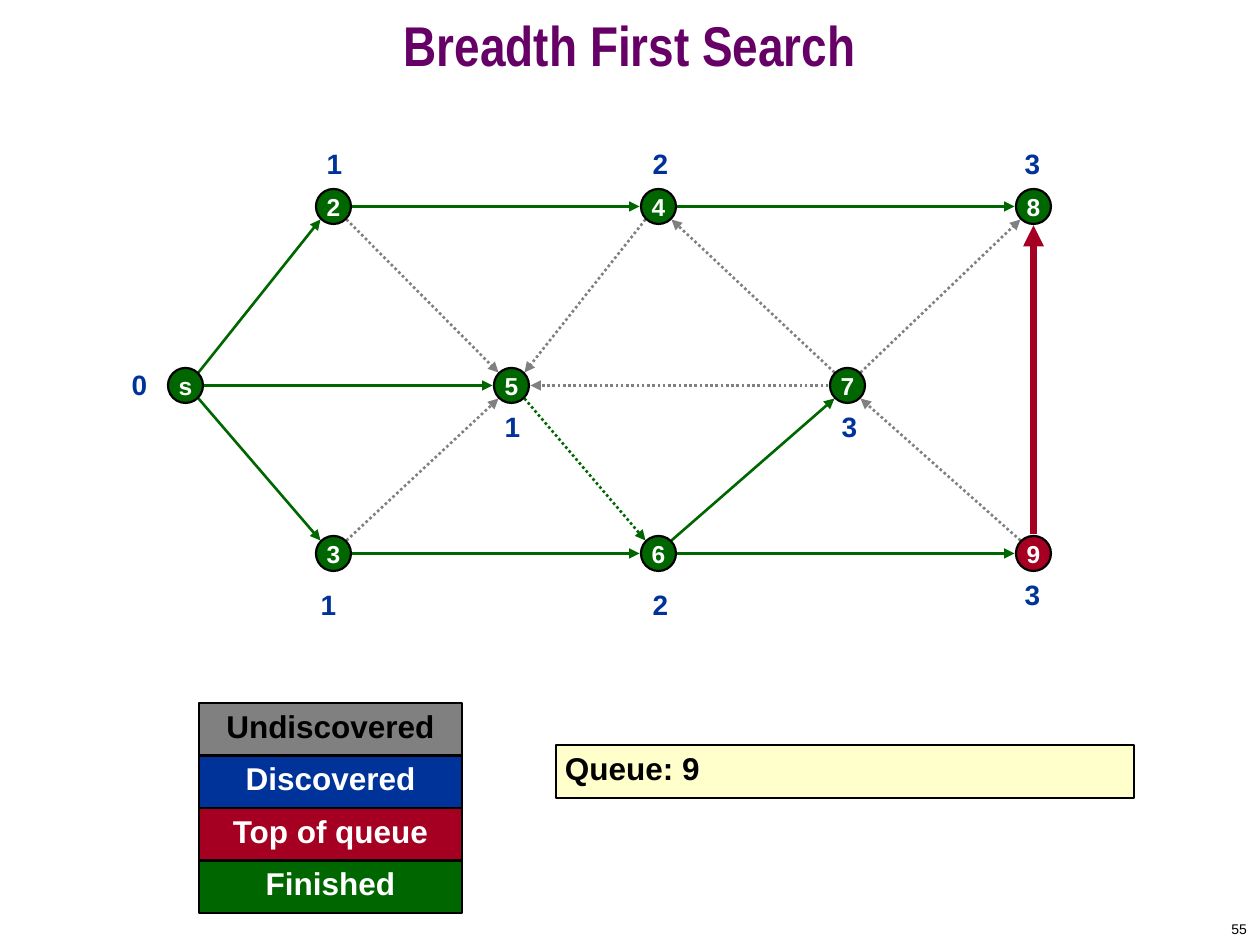
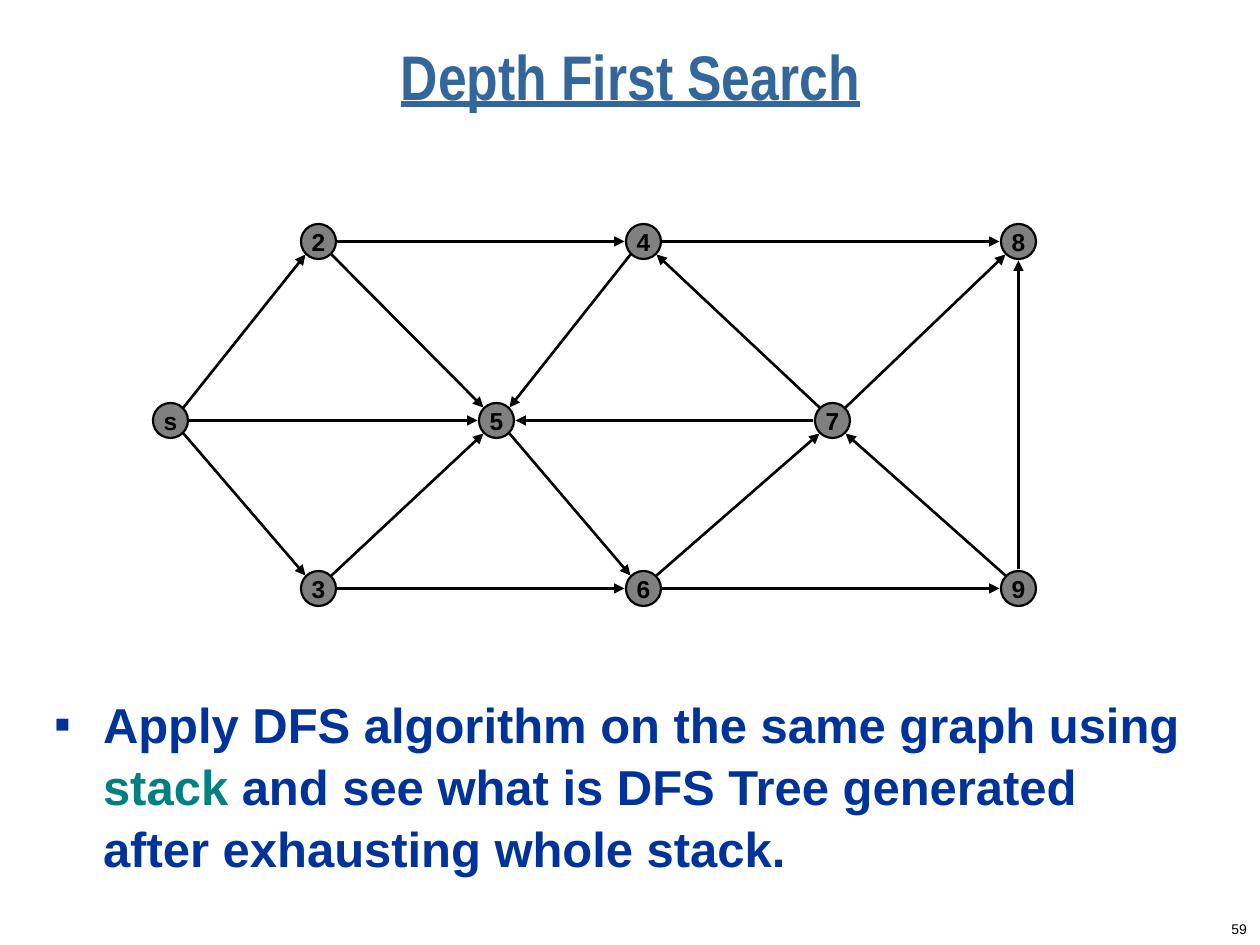
from lxml import etree
from pptx import Presentation
from pptx import util as u
from pptx.dml.color import RGBColor
from pptx.enum import dml, shapes, text
from pptx.oxml.ns import qn

SCALE = 914400 / 126
SLIDE_WIDTH, SLIDE_HEIGHT = 1260, 945
COLORS = {
    "black": "000000", "white": "FFFFFF", "gray": "808080", "blue": "003399",
    "red": "A50021", "green": "006600", "cream": "FFFFCC", "purple": "660066",
    "steel": "336699", "teal": "008080",
}
STATES = {
    "Undiscovered": ("gray", "black"),
    "Discovered": ("blue", "white"),
    "Top of queue": ("red", "white"),
    "Finished": ("green", "white"),
}
NODE_SIZE = 35
STRAIGHT_REACH, DIAGONAL_REACH = 19, 13
NODES = {
    "s": (0, 179), "2": (148, 0), "3": (148, 347), "5": (326, 179),
    "4": (473, 0), "6": (473, 347), "7": (662, 179), "8": (848, 0), "9": (848, 347),
}
EDGES = "s2 s5 s3 24 25 35 36 48 45 56 67 69 74 75 78 97 98".split()
TREE_EDGES = "s2 s5 s3 24 36 48 56 67 69".split()
DISTANCES = {
    "s": ("0", -52, 0), "2": ("1", -5, -42), "3": ("1", -11, 52),
    "5": ("1", -5, 42), "4": ("2", -4, -42), "6": ("2", -4, 52),
    "7": ("3", -4, 42), "8": ("3", -7, -42), "9": ("3", -7, 42),
}
ALIGN = text.PP_ALIGN
ANCHOR = text.MSO_ANCHOR


def px(length):
    """Turn a length in px into EMU."""
    return u.Emu(round(length * SCALE))


def apply(target, values):
    """Set each named attribute on the target."""
    for name, value in values.items():
        setattr(target, name, value)


def place(shape, box):
    """Move a shape to a box of left, top, width, height."""
    apply(shape, dict(zip(("left", "top", "width", "height"), map(px, box))))


def add_run(paragraph, words, size, color, bold=True, font="Arial", underline=None):
    """Add a formatted run to a paragraph."""
    run = paragraph.add_run()
    run.text = words
    apply(run.font, {"size": u.Pt(size), "name": font, "bold": bold, "underline": underline})
    run.font.color.rgb = RGBColor.from_string(COLORS[color])


def set_frame(shape, margins, anchor=ANCHOR.TOP, wrap=True, align=ALIGN.CENTER):
    """Format the text frame of a shape and return its first paragraph."""
    frame = shape.text_frame
    apply(frame, {"auto_size": text.MSO_AUTO_SIZE.NONE, "word_wrap": wrap,
                  "vertical_anchor": anchor})
    sides = ("margin_left", "margin_top", "margin_right", "margin_bottom")
    apply(frame, dict(zip(sides, map(px, margins))))
    paragraph = frame.paragraphs[0]
    paragraph.alignment = align
    return paragraph


def add_block(slide, kind, box, fill):
    """Add a filled shape with a thin black outline."""
    shape = slide.shapes.add_shape(kind, *map(px, box))
    shape.shadow.inherit = False
    shape.fill.solid()
    shape.fill.fore_color.rgb = RGBColor.from_string(COLORS[fill])
    shape.line.color.rgb = RGBColor.from_string(COLORS["black"])
    shape.line.width = u.Pt(1.25)
    return shape


def add_title(slide, box, words, size, color, underline=None):
    """Place and fill the title placeholder."""
    title = slide.shapes.title
    place(title, box)
    paragraph = set_frame(title, (13, 6, 13, 6), ANCHOR.MIDDLE)
    paragraph.line_spacing = 0.7
    add_run(paragraph, words, size, color, font="Arial Narrow", underline=underline)


def add_page_number(slide, number):
    """Write the page number in the bottom right corner."""
    width, height = 262, 32
    box = (SLIDE_WIDTH - width, SLIDE_HEIGHT - height, width, height)
    shape = slide.shapes.add_textbox(*map(px, box))
    paragraph = set_frame(shape, (13, 6, 13, 6), ANCHOR.MIDDLE, align=ALIGN.RIGHT)
    add_run(paragraph, number, 8, "black", bold=False)


def add_edge(slide, origin, edge, color, width=1.5, dash=None):
    """Draw an arrow between the rims of two nodes."""
    start, end = (NODES[name] for name in edge)
    signs = [(b > a) - (b < a) for a, b in zip(start, end)]
    reach = DIAGONAL_REACH if all(signs) else STRAIGHT_REACH
    center = [corner + NODE_SIZE / 2 for corner in origin]
    begin = [c + p + s * reach for c, p, s in zip(center, start, signs)]
    finish = [c + p - s * reach for c, p, s in zip(center, end, signs)]
    connector = slide.shapes.add_connector(
        shapes.MSO_CONNECTOR.STRAIGHT, *map(px, begin + finish))
    connector.line.color.rgb = RGBColor.from_string(COLORS[color])
    apply(connector.line, {"width": u.Pt(width), "dash_style": dash})
    properties = connector.element.spPr
    etree.SubElement(properties.find(qn("a:ln")), qn("a:tailEnd"), type="triangle")
    etree.SubElement(properties, qn("a:effectLst"))


def add_nodes(slide, origin, states):
    """Draw the graph's nodes, each coloured by its state."""
    for name, (x, y) in NODES.items():
        fill, color = STATES[states[name]]
        box = (origin[0] + x, origin[1] + y, NODE_SIZE, NODE_SIZE)
        shape = add_block(slide, shapes.MSO_SHAPE.OVAL, box, fill)
        paragraph = set_frame(shape, (0, 0, 0, 0), ANCHOR.MIDDLE, wrap=False)
        add_run(paragraph, name, 14, color)


def add_distances(slide, origin):
    """Write each node's distance from s beside it."""
    for name, (distance, dx, dy) in DISTANCES.items():
        x, y = NODES[name]
        box = (origin[0] + x + dx, origin[1] + y + dy, 47, 34)
        shape = slide.shapes.add_textbox(*map(px, box))
        add_run(set_frame(shape, (0, 0, 0, 0)), distance, 16, "blue")


def add_legend(slide, box):
    """Stack one coloured row for each node state."""
    left, top, width, height = box
    row_height = height / len(STATES)
    for index, (state, (fill, color)) in enumerate(STATES.items()):
        row = (left, top + index * row_height, width, row_height)
        shape = add_block(slide, shapes.MSO_SHAPE.RECTANGLE, row, fill)
        add_run(set_frame(shape, (0, 4, 0, 0)), state, 18, color)


def add_queue(slide, box, words):
    """Show the content of the queue."""
    shape = add_block(slide, shapes.MSO_SHAPE.RECTANGLE, box, "cream")
    paragraph = set_frame(shape, (9, 4, 0, 0), align=ALIGN.LEFT)
    add_run(paragraph, words, 18, "black")


def add_task(slide, box, runs):
    """Fill the body placeholder with one square-bulleted paragraph."""
    body = slide.placeholders[1]
    place(body, box)
    paragraph = set_frame(body, (13, 6, 13, 6), align=ALIGN.LEFT)
    apply(paragraph, {"line_spacing": 1.05, "space_before": u.Pt(0)})
    for words, color in runs:
        add_run(paragraph, words, 28, color)
    properties = paragraph._p.get_or_add_pPr()
    properties.set("marL", str(px(48)))
    properties.set("indent", str(px(-48)))
    bullet_color = etree.SubElement(properties, qn("a:buClr"))
    etree.SubElement(bullet_color, qn("a:srgbClr"), val=COLORS["blue"])
    etree.SubElement(properties, qn("a:buSzPct"), val="50000")
    etree.SubElement(properties, qn("a:buFont"), typeface="Arial")
    etree.SubElement(properties, qn("a:buChar"), char="■")


def build_breadth_first(presentation):
    """Build the slide with the breadth first search in progress."""
    slide = presentation.slides.add_slide(presentation.slide_layouts[5])
    origin = (168, 189)
    add_title(slide, (0, 0, SLIDE_WIDTH, 105), "Breadth First Search", 32, "purple")
    for edge in EDGES:
        if edge == "98":
            add_edge(slide, origin, edge, "red", width=4)
        else:
            color = "green" if edge in TREE_EDGES else "gray"
            dotted = color == "gray" or edge == "56"
            dash = dml.MSO_LINE.ROUND_DOT if dotted else None
            add_edge(slide, origin, edge, color, dash=dash)
    add_nodes(slide, origin, {**dict.fromkeys(NODES, "Finished"), "9": "Top of queue"})
    add_distances(slide, origin)
    add_legend(slide, (199, 703, 263, 210))
    add_queue(slide, (556, 745, 578, 53), "Queue: 9")
    add_page_number(slide, "55")


def build_depth_first(presentation):
    """Build the slide that sets the depth first search task."""
    slide = presentation.slides.add_slide(presentation.slide_layouts[1])
    origin = (153, 224)
    add_title(slide, (74, 32, 1113, 105), "Depth First Search", 36, "steel", underline=True)
    for edge in EDGES:
        add_edge(slide, origin, edge, "black")
    add_nodes(slide, origin, dict.fromkeys(NODES, "Undiscovered"))
    add_task(slide, (42, 686, 1155, 210), [
        ("Apply DFS algorithm on the same graph using ", "blue"),
        ("stack", "teal"),
        (" and see what is DFS Tree generated after exhausting whole stack.", "blue"),
    ])
    add_page_number(slide, "59")


def main():
    """Build and save the presentation."""
    presentation = Presentation()
    apply(presentation, {"slide_width": px(SLIDE_WIDTH), "slide_height": px(SLIDE_HEIGHT)})
    build_breadth_first(presentation)
    build_depth_first(presentation)
    presentation.save("out.pptx")


if __name__ == "__main__":
    main()
